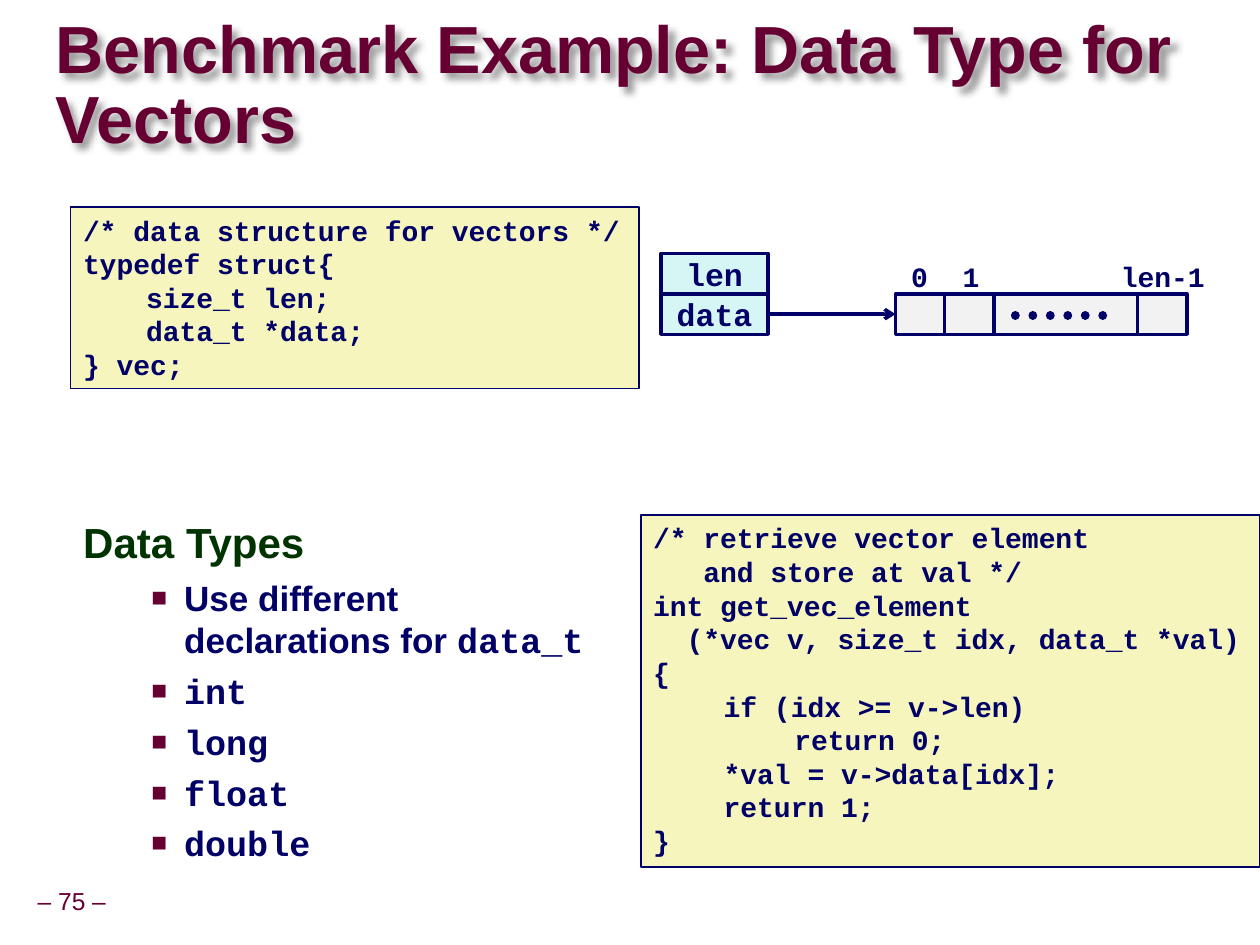
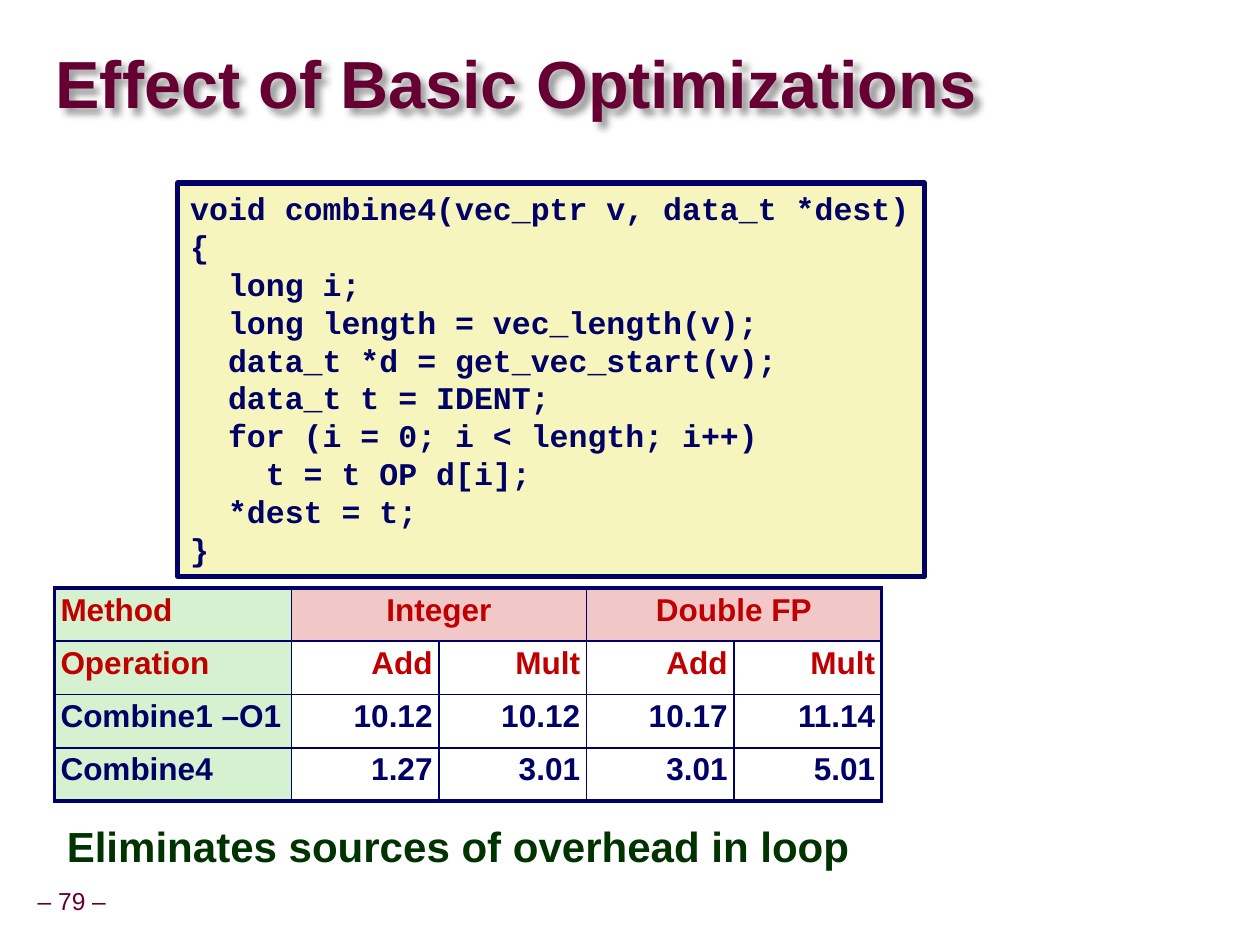
from lxml import etree
from pptx import Presentation
from pptx.dml.color import RGBColor
from pptx.enum.dml import MSO_LINE
from pptx.enum.shapes import MSO_CONNECTOR, MSO_SHAPE
from pptx.enum.text import MSO_ANCHOR, MSO_AUTO_SIZE, PP_ALIGN
from pptx.oxml.ns import qn
from pptx.util import Inches, Pt

LEFT, CENTER, RIGHT = PP_ALIGN.LEFT, PP_ALIGN.CENTER, PP_ALIGN.RIGHT
TOP, MIDDLE = MSO_ANCHOR.TOP, MSO_ANCHOR.MIDDLE
RECTANGLE = MSO_SHAPE.RECTANGLE
STRAIGHT = MSO_CONNECTOR.STRAIGHT
ROUND_DOT = MSO_LINE.ROUND_DOT
NO_AUTOFIT = MSO_AUTO_SIZE.NONE

SANS, MONO = "Arial", "Courier New"
NAVY, MAROON, GREEN, RED = "000066", "660033", "003300", "C00000"
CODE_FILL, FIELD_FILL, ELEMENT_FILL = "F6F5BD", "D6F5F5", "F2F2F2"
LABEL_FILL, GROUP_FILL = "D5F1CF", "F1C7C7"

STRUCT_CODE = """/* data structure for vectors */
typedef struct{
\tsize_t len;
\tdata_t *data;
} vec;"""

GET_CODE = """/* retrieve vector element
   and store at val */
int get_vec_element
  (*vec v, size_t idx, data_t *val)
{
\tif (idx >= v->len)
\t\treturn 0;
\t*val = v->data[idx];
\treturn 1;
}"""

COMBINE_CODE = """void combine4(vec_ptr v, data_t *dest)
{
  long i;
  long length = vec_length(v);
  data_t *d = get_vec_start(v);
  data_t t = IDENT;
  for (i = 0; i < length; i++)
    t = t OP d[i];
  *dest = t;
}"""

RESULTS = [
    ["Method", "Integer", "", "Double FP", ""],
    ["Operation", "Add", "Mult", "Add", "Mult"],
    ["Combine1 –O1", "10.12", "10.12", "10.17", "11.14"],
    ["Combine4", "1.27", "3.01", "3.01", "5.01"],
]


def rgb(color):
    return RGBColor.from_string(color)


def add_xml(parent, tag, **attributes):
    return etree.SubElement(parent, qn(tag), attributes)


def box(left, top, width, height):
    return [Inches(length) for length in (left, top, width, height)]


def place(shape, left, top, width, height):
    shape.left, shape.top, shape.width, shape.height = box(left, top, width, height)


def set_frame(text_frame, anchor=TOP, wrap=True, side=0.1, end=0.05):
    text_frame.auto_size = NO_AUTOFIT
    text_frame.word_wrap = wrap
    text_frame.vertical_anchor = anchor
    text_frame.margin_left = text_frame.margin_right = Inches(side)
    text_frame.margin_top = text_frame.margin_bottom = Inches(end)


def format_run(run, size, color, font=SANS, bold=True):
    run.font.size = Pt(size)
    run.font.name = font
    run.font.bold = bold
    run.font.color.rgb = rgb(color)


def format_paragraph(paragraph, size, color, font=SANS, bold=True, align=LEFT, spacing=None):
    paragraph.alignment = align
    if spacing:
        paragraph.line_spacing = spacing
    for run in paragraph.runs:
        format_run(run, size, color, font, bold)


def add_label(slide, bounds, text, size, color, font=MONO, bold=True, anchor=TOP):
    shape = slide.shapes.add_textbox(*box(*bounds))
    set_frame(shape.text_frame, anchor, wrap=False)
    shape.text_frame.text = text
    format_paragraph(shape.text_frame.paragraphs[0], size, color, font, bold, CENTER)


def add_rectangle(slide, bounds, fill, line_width):
    shape = slide.shapes.add_shape(RECTANGLE, *box(*bounds))
    shape.shadow.inherit = False
    shape.fill.solid()
    shape.fill.fore_color.rgb = rgb(fill)
    shape.line.color.rgb = rgb(NAVY)
    shape.line.width = Pt(line_width)
    return shape


def add_field(slide, bounds, text):
    shape = add_rectangle(slide, bounds, FIELD_FILL, 2)
    set_frame(shape.text_frame, MIDDLE, wrap=False)
    shape.text_frame.text = text
    format_paragraph(shape.text_frame.paragraphs[0], 18, NAVY, MONO, align=CENTER)


def add_code(slide, bounds, code, size, line_width=1, tab=0.5):
    shape = add_rectangle(slide, bounds, CODE_FILL, line_width)
    set_frame(shape.text_frame, wrap=False)
    shape.text_frame.text = code
    for paragraph in shape.text_frame.paragraphs:
        if "\t" in paragraph.text:
            tabs = add_xml(paragraph._p.get_or_add_pPr(), "a:tabLst")
            for stop in (1, 2):
                add_xml(tabs, "a:tab", pos=str(Inches(tab * stop)), algn="l")
        format_paragraph(paragraph, size, NAVY, MONO, spacing=Pt(size * 1.2))


def add_line(slide, start, end, width):
    points = [Inches(length) for length in (*start, *end)]
    line = slide.shapes.add_connector(STRAIGHT, *points)
    line.line.color.rgb = rgb(NAVY)
    line.line.width = Pt(width)
    add_xml(line._element.spPr, "a:effectLst")
    return line


def add_title_shadow(title):
    effects = add_xml(title._element.spPr, "a:effectLst")
    shadow = add_xml(effects, "a:outerShdw", blurRad=str(Pt(4)), dist=str(Pt(4)),
                     dir="2700000", algn="tl", rotWithShape="0")
    color = add_xml(shadow, "a:srgbClr", val="000000")
    add_xml(color, "a:alpha", val="40000")


def add_slide(presentation, title_text, number):
    slide = presentation.slides.add_slide(presentation.slide_layouts[1])
    title = slide.shapes.title
    place(title, 0.44, 0.27, 9.52, 0.85)
    set_frame(title.text_frame, MIDDLE, side=0, end=0)
    title.text_frame.text = title_text
    format_paragraph(title.text_frame.paragraphs[0], 38, MAROON, spacing=0.87)
    add_title_shadow(title)
    add_label(slide, (0.23, 6.98, 0.68, 0.32), f"– {number} –", 14, MAROON, SANS, False, MIDDLE)
    return slide


def set_body(slide, bounds, heading):
    body = slide.placeholders[1]
    place(body, *bounds)
    set_frame(body.text_frame)
    body.text_frame.text = heading
    paragraph = body.text_frame.paragraphs[0]
    properties = paragraph._p.get_or_add_pPr()
    properties.set("marL", "0")
    properties.set("indent", "0")
    add_xml(properties, "a:buNone")
    format_paragraph(paragraph, 24, GREEN, spacing=0.95)
    paragraph.space_before = Pt(0)
    return body.text_frame


def add_bullet(text_frame, *pieces):
    paragraph = text_frame.add_paragraph()
    paragraph.level = 1
    properties = paragraph._p.get_or_add_pPr()
    properties.set("marL", str(Inches(0.8)))
    properties.set("indent", str(Inches(-0.26)))
    add_xml(add_xml(properties, "a:buClr"), "a:srgbClr", val=MAROON)
    add_xml(properties, "a:buSzPct", val="75000")
    add_xml(properties, "a:buFont", typeface=SANS)
    add_xml(properties, "a:buChar", char="■")
    paragraph.alignment = LEFT
    paragraph.space_before = Pt(5)
    for text, font in pieces:
        run = paragraph.add_run()
        run.text = text
        format_run(run, 20, NAVY, font)


def set_borders(cell, outer_sides):
    properties = cell._tc.get_or_add_tcPr()
    for side in "LRTB":
        width = 2.25 if side in outer_sides else 1
        line = add_xml(properties, f"a:ln{side}", w=str(Pt(width)))
        add_xml(add_xml(line, "a:solidFill"), "a:srgbClr", val=NAVY)


def format_cell(cell, row, column, text):
    last_column = column + (cell.span_width if cell.is_merge_origin else 1)
    outer = {"L": column == 0, "R": last_column == len(RESULTS[0]),
             "T": row == 0, "B": row == len(RESULTS) - 1}
    set_borders(cell, [side for side, is_outer in outer.items() if is_outer])
    if column == 0 or row == 0:
        cell.fill.solid()
        cell.fill.fore_color.rgb = rgb(LABEL_FILL if column == 0 else GROUP_FILL)
    else:
        cell.fill.background()
    cell.margin_left = cell.margin_right = Inches(0.05)
    cell.margin_top = cell.margin_bottom = Inches(0.05)
    if text:
        cell.text = text
        align = LEFT if column == 0 else CENTER if row == 0 else RIGHT
        color = RED if row < 2 else NAVY
        format_paragraph(cell.text_frame.paragraphs[0], 18, color, align=align, spacing=0.95)


def add_results_table(slide, bounds):
    frame = slide.shapes.add_table(len(RESULTS), len(RESULTS[0]), *box(*bounds))
    table = frame.table
    table.first_row = table.horz_banding = False
    for index, column in enumerate(table.columns):
        column.width = Inches(1.17 if index else 1.88)
    for start in (1, 3):
        table.cell(0, start).merge(table.cell(0, start + 1))
    for row, texts in enumerate(RESULTS):
        for column, text in enumerate(texts):
            format_cell(table.cell(row, column), row, column, text)


def add_vector_diagram(slide):
    top, height = 2.33, 0.32
    middle = top + height / 2
    add_field(slide, (5.24, top - height, 0.85, height), "len")
    add_field(slide, (5.24, top, 0.85, height), "data")
    left = 7.1
    for width in (0.39, 0.39, 1.14, 0.39):
        add_rectangle(slide, (left, top, width, height), ELEMENT_FILL, 2)
        left += width
    for label_left, width, text in ((7.12, 0.34, "0"), (7.53, 0.34, "1"), (8.78, 0.88, "len-1")):
        add_label(slide, (label_left, 2.01, width, 0.37), text, 16, NAVY)
    pointer = add_line(slide, (6.09, middle), (7.1, middle), 2)
    add_xml(pointer.line._get_or_add_ln(), "a:tailEnd", type="arrow")
    dots = add_line(slide, (8.05, 2.5), (8.85, 2.5), 5)
    dots.line.dash_style = ROUND_DOT
    dots.line._get_or_add_ln().set("cap", "rnd")


def build_vector_slide(presentation):
    slide = add_slide(presentation, "Benchmark Example: Data Type for Vectors", 75)
    body = set_body(slide, (0.56, 4.07, 4.23, 2.42), "Data Types")
    add_bullet(body, ("Use different declarations for ", SANS), ("data_t", MONO))
    for type_name in ("int", "long", "float", "double"):
        add_bullet(body, (type_name, MONO))
    add_code(slide, (0.56, 1.64, 4.51, 1.44), STRUCT_CODE, 16)
    add_code(slide, (5.08, 4.08, 4.91, 2.79), GET_CODE, 16, tab=0.56)
    add_vector_diagram(slide)


def build_optimization_slide(presentation):
    slide = add_slide(presentation, "Effect of Basic Optimizations", 79)
    set_body(slide, (0.43, 6.48, 8.62, 0.59), "Eliminates sources of overhead in loop")
    add_code(slide, (1.41, 1.45, 5.92, 3.12), COMBINE_CODE, 18, line_width=3)
    add_results_table(slide, (0.43, 4.66, 6.56, 1.69))


def main():
    presentation = Presentation()
    presentation.slide_width = Inches(9.99)
    presentation.slide_height = Inches(7.49)
    build_vector_slide(presentation)
    build_optimization_slide(presentation)
    presentation.save("out.pptx")


if __name__ == "__main__":
    main()
